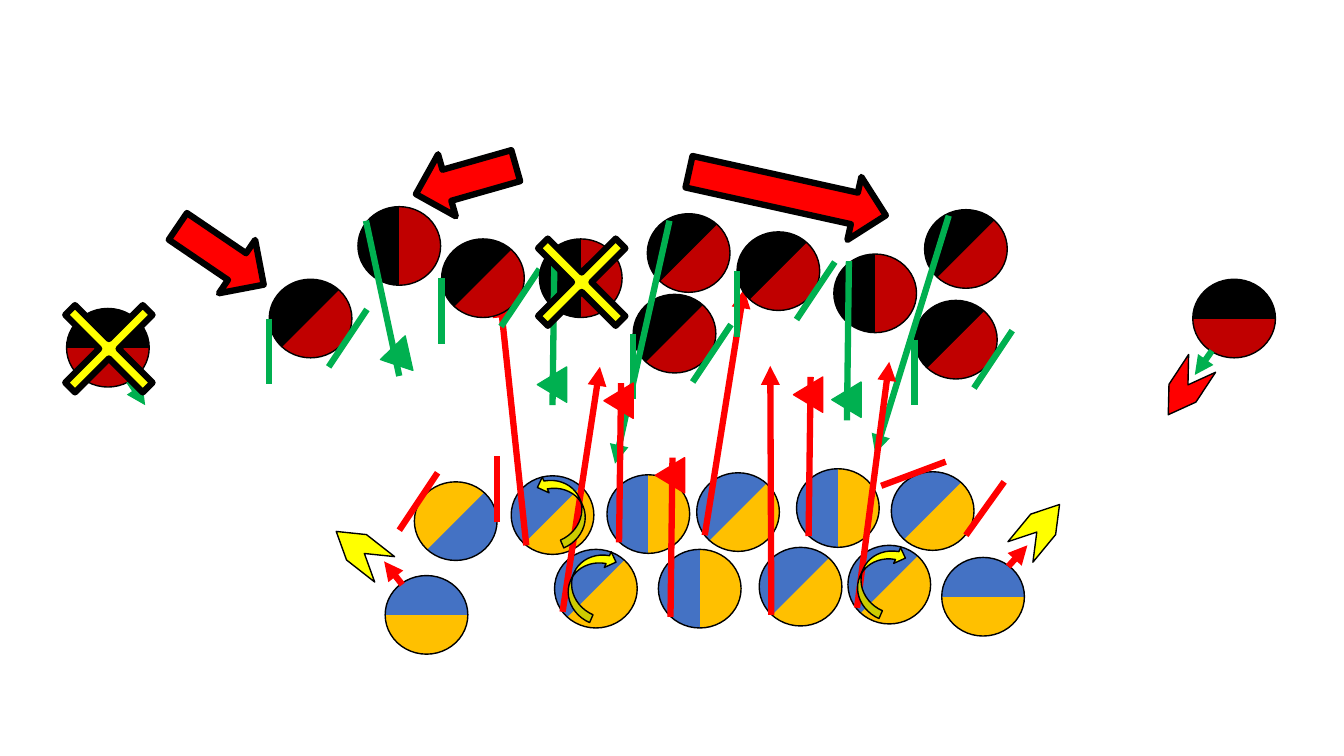
from lxml.etree import SubElement
from pptx import Presentation
from pptx.dml.color import RGBColor
from pptx.enum.shapes import MSO_CONNECTOR, MSO_SHAPE
from pptx.oxml.ns import qn
from pptx.util import Inches, Pt

BLACK = RGBColor(0x00, 0x00, 0x00)
DARK_RED = RGBColor(0xC0, 0x00, 0x00)
BLUE = RGBColor(0x44, 0x72, 0xC4)
GOLD = RGBColor(0xFF, 0xC0, 0x00)
RED = RGBColor(0xFF, 0x00, 0x00)
GREEN = RGBColor(0x00, 0xB0, 0x50)
YELLOW = RGBColor(0xFF, 0xFF, 0x00)

# Two jersey colours, then the route colour
DEFENSE = (BLACK, DARK_RED, GREEN)
OFFENSE = (BLUE, GOLD, RED)
OFFENSE_SWAPPED = (GOLD, BLUE, RED)

# Split of the two jersey colours, in degrees counter-clockwise
SIDE_BY_SIDE, DIAGONAL, STACKED = 0, 315, 270

# Routes: (x1, y1, x2, y2) from the player's top left corner
GAP_BARS = [(0.59, 0.87, 0.97, 0.30), (0, 0.39, 0, 1.04)]
DROP_BACK = [(0.15, 0.07, 0.13, 1.65)]
DROP_FLAG = (-0.05, 1.3, 270)
RUSH = [(0.12, 0.67, 0.14, -0.91)]
RUSH_FLAG = (-0.06, -0.88, 270)


def add_preset(shapes, preset, box, fill, weight=1.0, rotation=0, line=BLACK):
    shape = shapes.add_shape(preset, *[Inches(length) for length in box])
    shape.shadow.inherit = False
    shape.rotation = rotation
    if fill is not None:
        shape.fill.solid()
        shape.fill.fore_color.rgb = fill
    shape.line.color.rgb = line
    shape.line.width = Pt(weight)
    return shape


def add_route(shapes, left, top, route, color, arrow):
    x1, y1, x2, y2 = route
    line = shapes.add_connector(
        MSO_CONNECTOR.STRAIGHT,
        Inches(left + x1), Inches(top + y1), Inches(left + x2), Inches(top + y2),
    )
    line.line.color.rgb = color
    line.line.width = Pt(4.5)
    if arrow:
        SubElement(line.get_or_add_ln(), qn("a:tailEnd"), type="triangle")
    SubElement(line.element.spPr, qn("a:effectLst"))


def add_player(page, left, top, team, split, routes, arrow=False, flag=None):
    """Group a two-coloured disc with its routes and an optional triangle flag."""
    first, second, route_color = team
    shapes = page.shapes.add_group_shape().shapes
    disc = add_preset(shapes, MSO_SHAPE.OVAL, (left, top, 0.82, 0.78), None)
    disc.fill.gradient()
    disc.fill.gradient_angle = split
    for stop, color in zip(disc.fill.gradient_stops, (first, second)):
        stop.position = 0.5
        stop.color.rgb = color
    for route in routes:
        add_route(shapes, left, top, route, route_color, arrow)
    if flag:
        x, y, rotation = flag
        add_preset(shapes, MSO_SHAPE.ISOSCELES_TRIANGLE, (left + x, top + y, 0.35, 0.29),
                   route_color, rotation=rotation, line=route_color)


def add_deep_rushers(page):
    for left, top, route in [
        (5.07, 4.72, (0.15, 0.69, -0.11, -1.76)),
        (6.91, 4.69, (0.08, 0.62, 0.47, -1.82)),
    ]:
        add_player(page, left, top, OFFENSE, DIAGONAL, [route], arrow=True)


def add_defense(page):
    for left, top, split, route in [
        (11.83, 2.77, STACKED, (0.19, 0.71, 0.02, 0.95)),
        (0.66, 3.06, STACKED, (0.62, 0.72, 0.78, 0.96)),
    ]:
        add_player(page, left, top, DEFENSE, split, [route], arrow=True)
    for left, top in [(7.31, 2.3), (2.67, 2.77), (9.07, 2.98), (6.28, 2.92)]:
        add_player(page, left, top, DEFENSE, DIAGONAL, GAP_BARS)
    for left, top, route in [
        (9.17, 2.08, (0.24, 0.06, -0.49, 2.42)),
        (6.42, 2.12, (0.22, 0.07, -0.32, 2.48)),
    ]:
        add_player(page, left, top, DEFENSE, DIAGONAL, [route], arrow=True)
    add_player(page, 3.55, 2.05, DEFENSE, SIDE_BY_SIDE,
               [(0.08, 0.14, 0.41, 1.68)], flag=(0.19, 1.34, 257.4))
    add_player(page, 8.27, 2.52, DEFENSE, SIDE_BY_SIDE, DROP_BACK, flag=DROP_FLAG)
    add_player(page, 4.38, 2.37, DEFENSE, DIAGONAL, GAP_BARS)
    add_player(page, 5.35, 2.37, DEFENSE, SIDE_BY_SIDE, DROP_BACK, flag=DROP_FLAG)


def add_offense(page):
    for left, top in [(6.02, 4.71), (7.9, 4.65)]:
        add_player(page, left, top, OFFENSE, SIDE_BY_SIDE, RUSH, flag=RUSH_FLAG)
    for left, top, split, route in [
        (3.82, 5.71, STACKED, (0.17, 0.09, -0.01, -0.14)),
        (7.53, 5.43, DIAGONAL, (0.12, 0.67, 0.11, -1.8)),
        (5.5, 5.45, DIAGONAL, (0.08, 0.62, 0.45, -1.81)),
        (9.34, 5.53, STACKED, (0.66, 0.09, 0.85, -0.12)),
        (8.41, 5.41, DIAGONAL, (0.09, 0.62, 0.41, -1.82)),
    ]:
        add_player(page, left, top, OFFENSE, split, [route], arrow=True)
    add_player(page, 6.53, 5.45, OFFENSE, SIDE_BY_SIDE, RUSH, flag=RUSH_FLAG)
    add_player(page, 8.84, 4.68, OFFENSE, DIAGONAL,
               [(0.54, -0.1, -0.1, 0.14), (0.74, 0.63, 1.12, 0.1)])
    add_player(page, 4.11, 4.78, OFFENSE_SWAPPED, DIAGONAL,
               [(0.23, -0.09, -0.15, 0.48), (0.82, 0.4, 0.82, -0.26)])


def add_markers(page):
    """Crosses, chevrons, turn arrows and block arrows over the players."""
    shapes = page.shapes
    for left, top in [(5.03, 2.06), (0.34, 2.72)]:
        cross = add_preset(shapes, MSO_SHAPE.MATH_MULTIPLY, (left, top, 1.48, 1.48), YELLOW, 4.5)
        cross.adjustments[0] = 0.092
    for left, top, rotation, color in [
        (3.27, 5.3, 218.1, YELLOW),
        (11.45, 3.7, 123.4, RED),
        (10.01, 5.08, 309.5, YELLOW),
    ]:
        chevron = add_preset(shapes, MSO_SHAPE.CHEVRON, (left, top, 0.61, 0.32),
                             color, rotation=rotation)
        chevron.adjustments[0] = 0.798
    for left, top, rotation, flips in [
        (5.43, 4.66, 336.4, ["flipV"]),
        (5.67, 5.4, 23.6, ["flipH", "flipV"]),
        (8.54, 5.36, 23.6, ["flipH", "flipV"]),
    ]:
        turn = add_preset(shapes, MSO_SHAPE.CURVED_LEFT_ARROW, (left, top, 0.34, 0.74),
                          YELLOW, rotation=rotation)
        for flip in flips:
            turn.element.spPr.xfrm.set(flip, "1")
    for left, top, length, rotation in [
        (1.87, 2.02, 1.03, 304.2),
        (4.3, 1.27, 1.03, 74.1),
        (7.49, 0.92, 2, 282.5),
    ]:
        add_preset(shapes, MSO_SHAPE.DOWN_ARROW, (left, top, 0.64, length), RED, 4.5, rotation)


def main():
    deck = Presentation()
    deck.slide_width, deck.slide_height = Inches(13.33), Inches(7.5)
    page = deck.slides.add_slide(deck.slide_layouts[6])
    add_deep_rushers(page)
    add_defense(page)
    add_offense(page)
    add_markers(page)
    deck.save("out.pptx")


if __name__ == "__main__":
    main()
